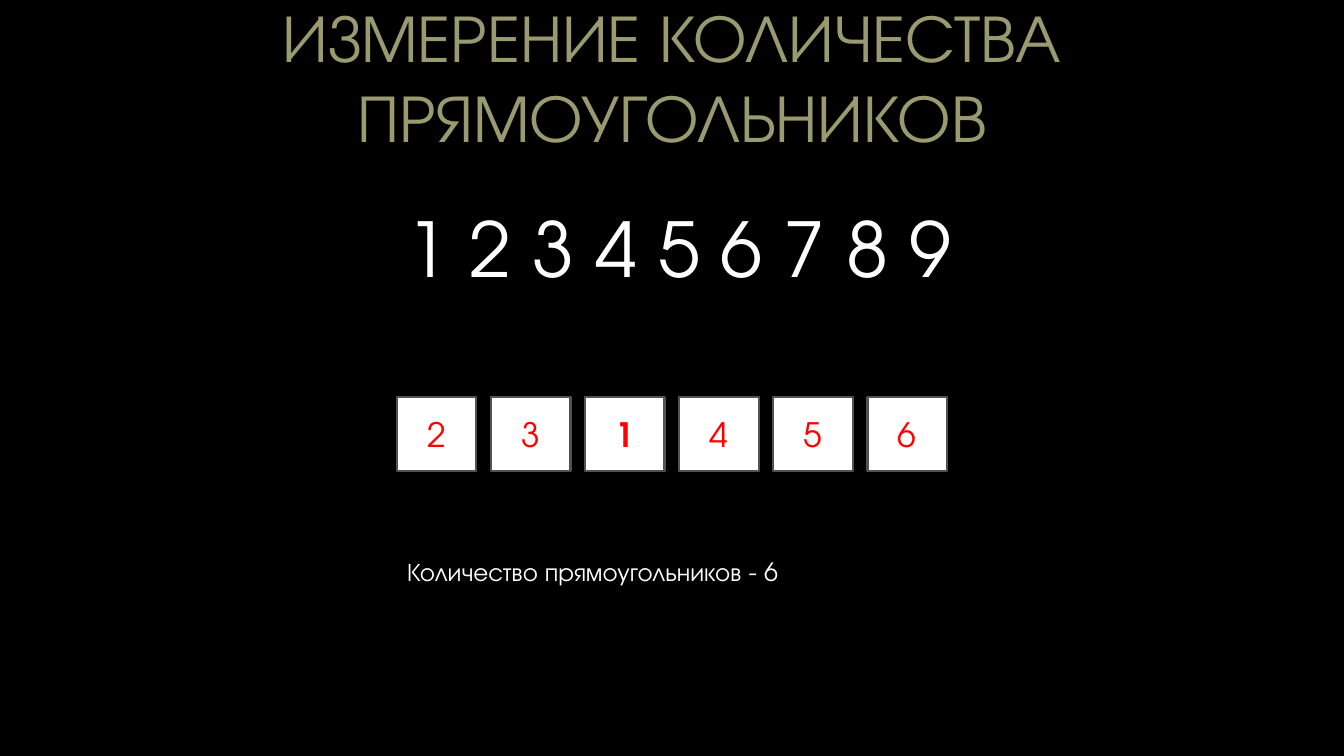
import dataclasses

import pptx
import pptx.dml.color
import pptx.enum.shapes
import pptx.enum.text
import pptx.util


@dataclasses.dataclass(frozen=True)
class Theme:
    font: str = "TeX Gyre Adventor"
    background: str = "000000"
    title: str = "9A9A71"
    text: str = "FFFFFF"
    card: str = "FFFFFF"
    card_line: str = "525252"
    digit: str = "FF0000"
    title_size: int = 48
    number_size: int = 54
    digit_size: int = 24
    caption_size: int = 18
    line_width: float = 1.5


ALIGN = pptx.enum.text.PP_ALIGN
ANCHOR = pptx.enum.text.MSO_ANCHOR


def rgb(value):
    return pptx.dml.color.RGBColor.from_string(value)


class SlideBuilder:
    """Places elements by left, top, width, height in percent of the slide."""

    def __init__(self, presentation, theme):
        self.theme = theme
        self.width = presentation.slide_width
        self.height = presentation.slide_height
        self.slide = presentation.slides.add_slide(presentation.slide_layouts[5])
        fill = self.slide.background.fill
        fill.solid()
        fill.fore_color.rgb = rgb(theme.background)

    def box(self, left, top, width, height):
        return (round(self.width * left / 100), round(self.height * top / 100),
                round(self.width * width / 100), round(self.height * height / 100))

    def set_text(self, shape, text, size, color, align, anchor, bold=False):
        frame = shape.text_frame
        frame.text = text
        frame.word_wrap = True
        frame.auto_size = pptx.enum.text.MSO_AUTO_SIZE.NONE
        frame.vertical_anchor = anchor
        paragraph = frame.paragraphs[0]
        paragraph.alignment = align
        font = paragraph.runs[0].font
        font.name = self.theme.font
        font.size = pptx.util.Pt(size)
        font.bold = bold
        font.color.rgb = rgb(color)

    def title(self, text, *area):
        shape = self.slide.shapes.title
        shape.left, shape.top, shape.width, shape.height = self.box(*area)
        self.set_text(shape, text, self.theme.title_size, self.theme.title,
                      ALIGN.CENTER, ANCHOR.MIDDLE)

    def text(self, text, size, align, *area):
        shape = self.slide.shapes.add_textbox(*self.box(*area))
        self.set_text(shape, text, size, self.theme.text, align, ANCHOR.TOP)

    def card(self, text, bold, *area):
        shape = self.slide.shapes.add_shape(
            pptx.enum.shapes.MSO_SHAPE.RECTANGLE, *self.box(*area))
        shape.shadow.inherit = False
        shape.fill.solid()
        shape.fill.fore_color.rgb = rgb(self.theme.card)
        shape.line.color.rgb = rgb(self.theme.card_line)
        shape.line.width = pptx.util.Pt(self.theme.line_width)
        self.set_text(shape, text, self.theme.digit_size, self.theme.digit,
                      ALIGN.CENTER, ANCHOR.MIDDLE, bold)


def main():
    presentation = pptx.Presentation()
    presentation.slide_width = pptx.util.Inches(13.33)
    presentation.slide_height = pptx.util.Inches(7.5)
    theme = Theme()
    builder = SlideBuilder(presentation, theme)

    # Title
    builder.title("ИЗМЕРЕНИЕ КОЛИЧЕСТВА ПРЯМОУГОЛЬНИКОВ", 9.38, 3.47, 81.25, 13.07)

    # Row of rectangles, centred on the slide
    digits = "231456"
    card_width, pitch = 5.9, 7
    row_left = (100 - pitch * (len(digits) - 1) - card_width) / 2
    for index, digit in enumerate(digits):
        builder.card(digit, digit == "1",
                     row_left + index * pitch, 52.5, card_width, 9.87)

    # Number line and the resulting count
    builder.text("1 2 3 4 5 6 7 8 9", theme.number_size, ALIGN.CENTER,
                 20.48, 26, 60.09, 13.47)
    builder.text("Количество прямоугольников - 6", theme.caption_size, ALIGN.LEFT,
                 row_left, 72.93, 32.41, 5.33)

    presentation.save("out.pptx")


if __name__ == "__main__":
    main()
